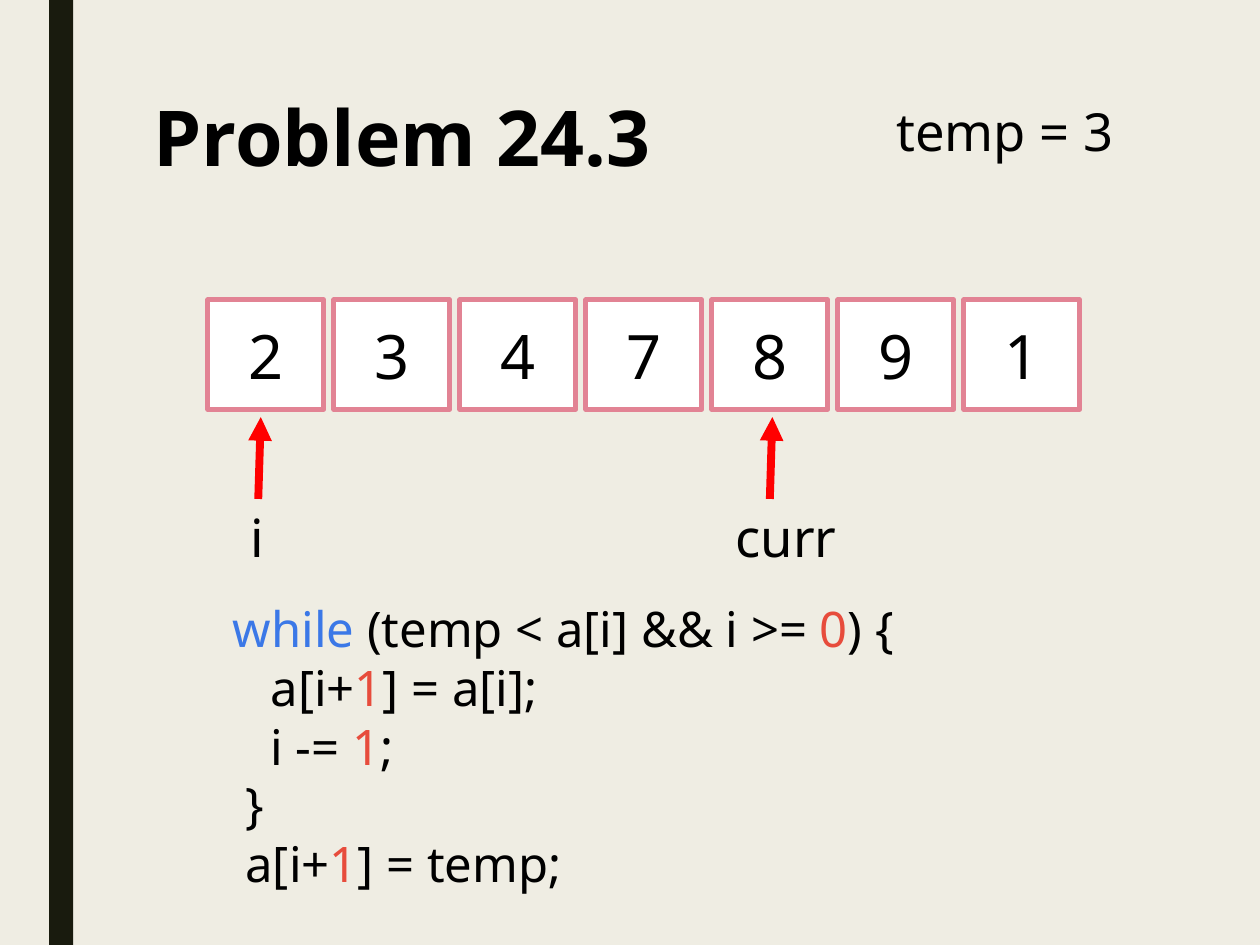
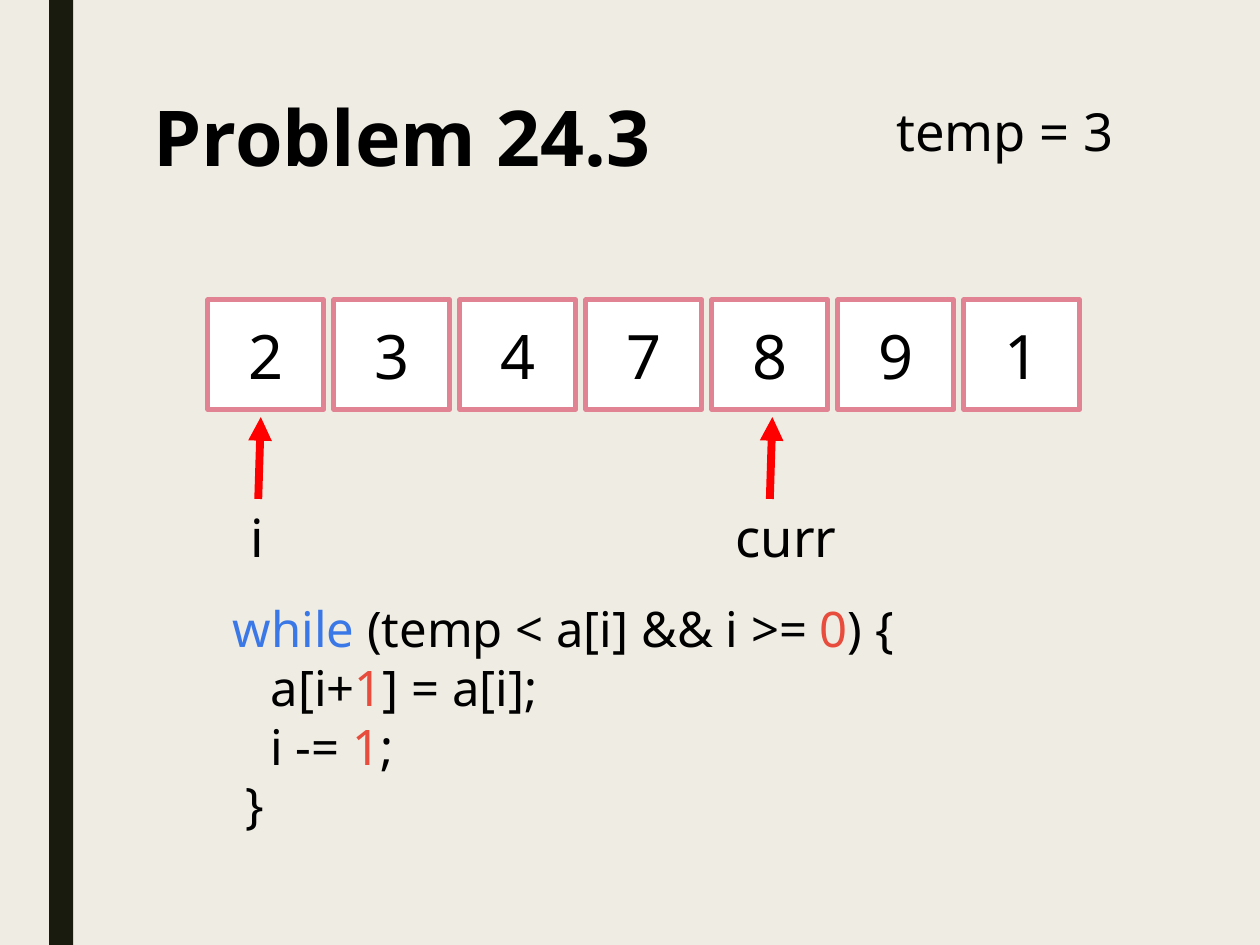
from lxml import etree
from pptx import Presentation
from pptx.dml.color import RGBColor
from pptx.enum.shapes import MSO_CONNECTOR, MSO_SHAPE
from pptx.enum.text import MSO_ANCHOR, MSO_AUTO_SIZE, PP_ALIGN
from pptx.oxml.ns import qn
from pptx.util import Inches, Pt

RECT = MSO_SHAPE.RECTANGLE
LINE = MSO_CONNECTOR.STRAIGHT
LEFT, CENTER = PP_ALIGN.LEFT, PP_ALIGN.CENTER
TOP, MIDDLE = MSO_ANCHOR.TOP, MSO_ANCHOR.MIDDLE
GROW = MSO_AUTO_SIZE.SHAPE_TO_FIT_TEXT

FONT = "Noto Sans"
PAPER, BAND, INK, WHITE = "EFEDE3", "191B0E", "000000", "FFFFFF"
PINK, RED, BLUE, CORAL = "E28394", "FF0000", "3B78E7", "E74C3C"

VALUES = [2, 3, 4, 7, 8, 9, 1]
LOOP = [
    (0.1, [("while", BLUE), (" (temp < a[i] && i >= ", INK), ("0", CORAL), (") {", INK)]),
    (0.4, [("a[i+", INK), ("1", CORAL), ("] = a[i];", INK)]),
    (0.4, [("i -= ", INK), ("1", CORAL), (";", INK)]),
    (0.2, [("}", INK)]),
]
INSERT = (0.2, [("a[i+", INK), ("1", CORAL), ("] = temp;", INK)])


def color(code):
    return RGBColor.from_string(code)


def write(para, text, size=30, ink=INK, bold=False, align=LEFT):
    para.alignment = align
    run = para.add_run()
    run.text = text
    font = run.font
    font.name, font.size, font.bold = FONT, Pt(size), bold
    font.color.rgb = color(ink)


def frame(slide, left, top, width, height):
    body = slide.shapes.add_textbox(
        Inches(left), Inches(top), Inches(width), Inches(height)).text_frame
    body.word_wrap = True
    body.vertical_anchor = TOP
    return body


def label(slide, text, left, top, width, **style):
    body = frame(slide, left, top, width, 0.61)
    body.auto_size = GROW
    write(body.paragraphs[0], text, **style)


def box(slide, left, top, width, height, fill, edge=None):
    shape = slide.shapes.add_shape(
        RECT, Inches(left), Inches(top), Inches(width), Inches(height))
    shape.shadow.inherit = False
    shape.fill.solid()
    shape.fill.fore_color.rgb = color(fill)
    if edge:
        shape.line.color.rgb = color(edge)
        shape.line.width = Pt(2.75)
    else:
        shape.line.fill.background()
    return shape


def arrow(slide, left):
    link = slide.shapes.add_connector(
        LINE, Inches(left), Inches(3.96), Inches(left + 0.02), Inches(3.31))
    link.line.color.rgb = color(RED)
    link.line.width = Pt(4.5)
    tip = etree.SubElement(link.line._get_or_add_ln(), qn("a:tailEnd"))
    tip.set("type", "triangle")
    etree.SubElement(link._element.spPr, qn("a:effectLst"))


def base(slide):
    box(slide, 0.39, 0, 0.19, 7.5, BAND)
    title = frame(slide, 1.12, 0.75, 7.88, 1.62).paragraphs[0]
    title.line_spacing = 0.89
    write(title, "Problem 24.3", size=44, bold=True)
    label(slide, "temp = 3", 6.57, 0.74, 2.81, align=CENTER)


def array(slide):
    for spot, value in enumerate(VALUES):
        cell = box(slide, 1.65 + spot, 2.38, 0.92, 0.87, WHITE, PINK)
        body = cell.text_frame
        body.vertical_anchor = MIDDLE
        write(body.paragraphs[0], str(value), size=35, align=CENTER)


def marks(slide):
    for name, tail, left, width in [("i", 2.05, 1.89, 0.65), ("curr", 6.11, 5.74, 1.06)]:
        arrow(slide, tail)
        label(slide, name, left, 3.96, width)


def code(slide, lines):
    body = frame(slide, 1.65, 4.7, 6.78, 0.1 + 0.47 * len(lines))
    body.auto_size = GROW
    for row, (indent, parts) in enumerate(lines):
        para = body.add_paragraph() if row else body.paragraphs[0]
        para._p.get_or_add_pPr().set("marL", str(Inches(indent)))
        for text, ink in parts:
            write(para, text, size=28, ink=ink)


def main():
    deck = Presentation()
    deck.slide_width, deck.slide_height = Inches(10), Inches(7.5)
    back = deck.slide_master.background.fill
    back.solid()
    back.fore_color.rgb = color(PAPER)
    for lines in (LOOP + [INSERT], LOOP):
        slide = deck.slides.add_slide(deck.slide_layouts[6])
        base(slide)
        array(slide)
        marks(slide)
        code(slide, lines)
    deck.save("out.pptx")


main()
